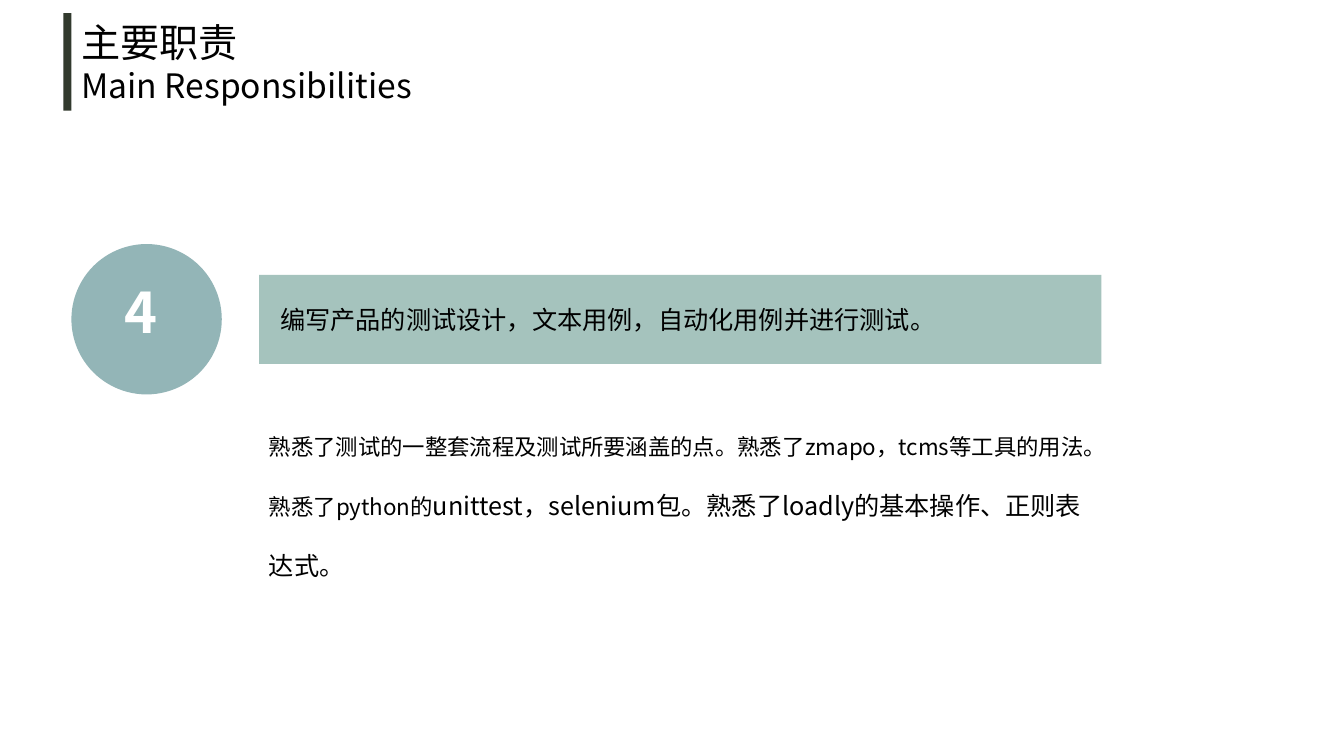
"""Build the slide on main responsibilities."""
import dataclasses
import typing

import pptx
import pptx.dml.color
import pptx.enum.shapes
import pptx.enum.text
import pptx.oxml
import pptx.oxml.ns
import pptx.slide
import pptx.util

Cm = pptx.util.Cm
Shapes = pptx.enum.shapes.MSO_SHAPE
Anchor = pptx.enum.text.MSO_ANCHOR
Align = pptx.enum.text.PP_ALIGN


@dataclasses.dataclass(frozen=True)
class Theme:
    font: str = "Noto Sans CJK SC"
    ink: str = "000000"
    light: str = "FFFFFF"
    accent: str = "323A2E"
    badge: str = "93B5B7"
    bar: str = "A5C3BD"
    title: int = 28
    subtitle: int = 24
    number: int = 40
    lead: int = 18
    detail: int = 16


class Area(typing.NamedTuple):
    left: float
    top: float
    width: float
    height: float


class Span(typing.NamedTuple):
    text: str
    size: int


class Block(typing.NamedTuple):
    area: Area
    paras: list[list[Span]]
    spacing: float = 1.0


class Panel(typing.NamedTuple):
    kind: Shapes
    area: Area
    color: str


THEME = Theme()
ACCENT = Panel(Shapes.RECTANGLE, Area(1.6, 0.33, 0.2, 2.46), THEME.accent)
BADGE = Panel(Shapes.OVAL, Area(1.8, 6.15, 3.79, 3.79), THEME.badge)
BAR = Panel(Shapes.RECTANGLE, Area(6.53, 6.93, 21.23, 2.24), THEME.bar)
BLOCKS = [
    Block(
        Area(1.8, 0.33, 10.03, 2.49),
        [[Span("主要职责", THEME.title)], [Span("Main Responsibilities", THEME.subtitle)]],
    ),
    Block(
        Area(6.81, 7.54, 20.57, 1.02),
        [[Span("编写产品的测试设计，文本用例，自动化用例并进行测试。", THEME.lead)]],
    ),
    Block(
        Area(6.53, 10.11, 21.23, 4.47),
        [[
            Span("熟悉了测试的一整套流程及测试所要涵盖的点。熟悉了zmapo，tcms等工具的用法。熟悉了python的", THEME.detail),
            Span("unittest，selenium包。熟悉了loadly的基本操作、正则表达式。", THEME.lead),
        ]],
        spacing=2.0,
    ),
]


def apply(target: typing.Any, values: dict[str, typing.Any]) -> None:
    """Set each named attribute on the target."""
    for name, value in values.items():
        setattr(target, name, value)


def place(area: Area) -> list[pptx.util.Length]:
    """Turn an area into slide lengths."""
    return [Cm(length) for length in area]


def add_span(para: typing.Any, span: Span, color: str, bold: bool = False) -> None:
    """Add a formatted run to a paragraph."""
    run = para.add_run()
    run.text = span.text
    apply(run.font, {"name": THEME.font, "size": pptx.util.Pt(span.size), "bold": bold})
    run.font.color.rgb = pptx.dml.color.RGBColor.from_string(color)
    latin = run.font._element.find(pptx.oxml.ns.qn("a:latin"))
    east = pptx.oxml.parse_xml(f'<a:ea {pptx.oxml.ns.nsdecls("a")} typeface="{THEME.font}"/>')
    latin.addnext(east)


def add_panel(page: pptx.slide.Slide, panel: Panel) -> typing.Any:
    """Draw a filled shape without outline or shadow."""
    shape = page.shapes.add_shape(panel.kind, *place(panel.area))
    shape.shadow.inherit = False
    shape.fill.solid()
    shape.fill.fore_color.rgb = pptx.dml.color.RGBColor.from_string(panel.color)
    shape.line.fill.background()
    return shape


def add_badge(page: pptx.slide.Slide, panel: Panel, number: str) -> None:
    """Draw the circle with its number."""
    frame = add_panel(page, panel).text_frame
    apply(frame, {
        "word_wrap": False,
        "vertical_anchor": Anchor.MIDDLE,
        "margin_left": Cm(0),
        "margin_right": Cm(0.28),
        "margin_top": Cm(0),
        "margin_bottom": Cm(0.18),
    })
    para = frame.paragraphs[0]
    apply(para, {"alignment": Align.CENTER, "line_spacing": 0.9})
    add_span(para, Span(number, THEME.number), THEME.light, bold=True)


def add_block(page: pptx.slide.Slide, block: Block) -> None:
    """Add a wrapped text box with its paragraphs."""
    frame = page.shapes.add_textbox(*place(block.area)).text_frame
    frame.word_wrap = True
    for index, spans in enumerate(block.paras):
        para = frame.add_paragraph() if index else frame.paragraphs[0]
        para.line_spacing = block.spacing
        for span in spans:
            add_span(para, span, THEME.ink)


def main() -> None:
    """Build and save the deck."""
    deck = pptx.Presentation()
    apply(deck, {"slide_width": Cm(33.87), "slide_height": Cm(19.05)})
    page = deck.slides.add_slide(deck.slide_layouts[6])
    add_panel(page, ACCENT)
    add_badge(page, BADGE, "4")
    add_panel(page, BAR)
    for block in BLOCKS:
        add_block(page, block)
    deck.save("out.pptx")


if __name__ == "__main__":
    main()
